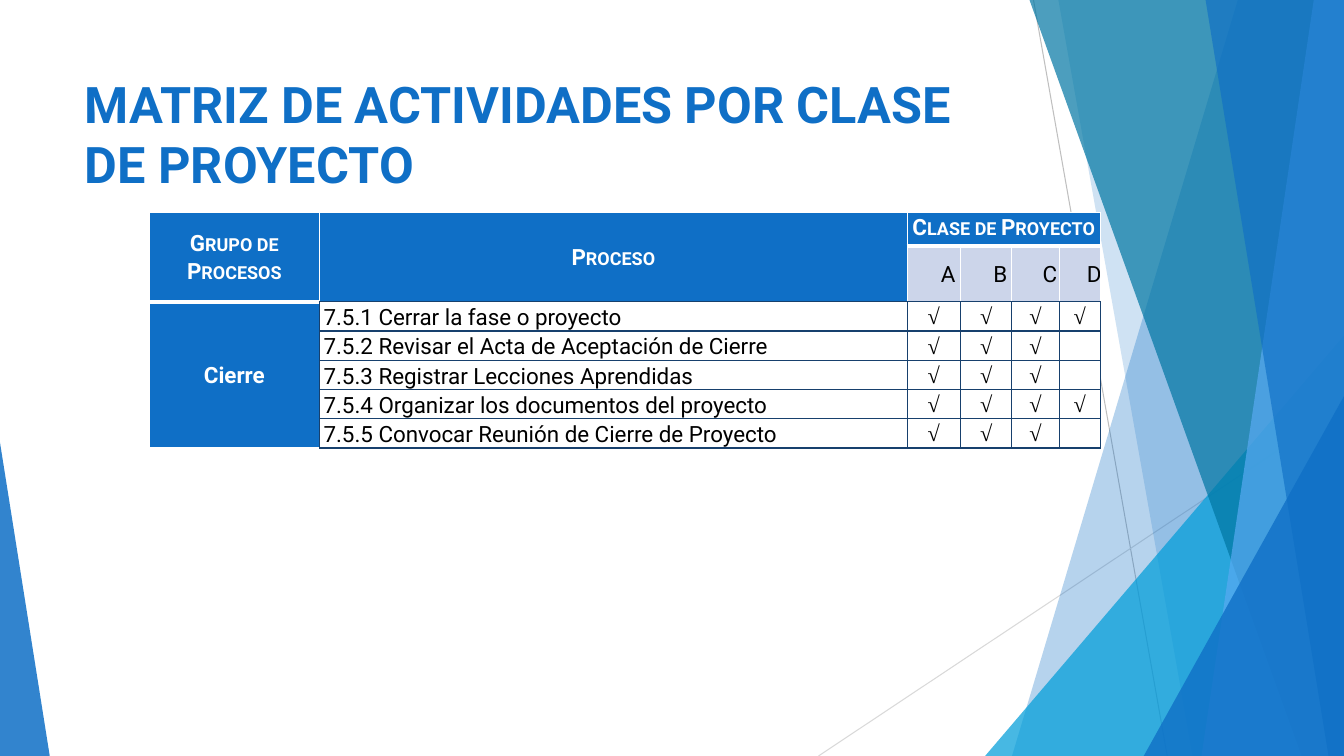
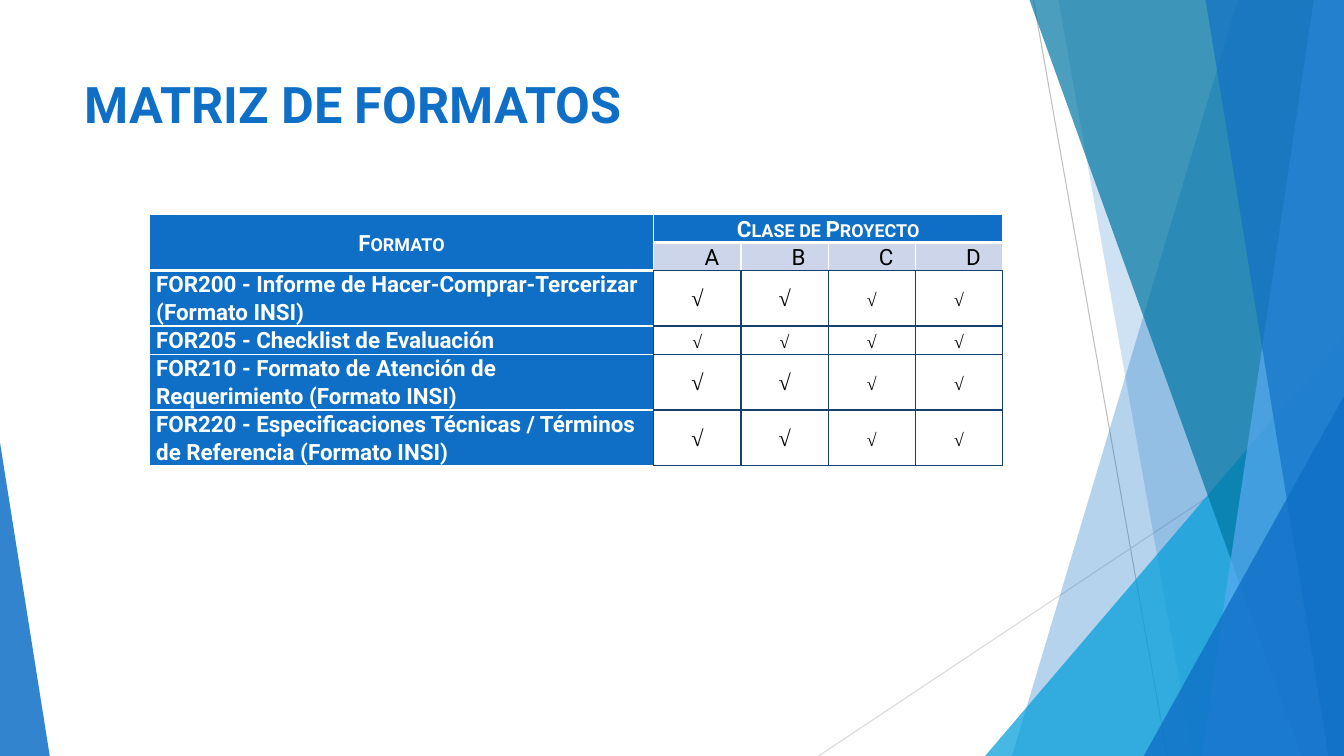
"""Build two slides with matrices of project activities and forms."""
import dataclasses

import lxml.etree
import pptx
import pptx.dml.color
import pptx.enum.shapes
import pptx.enum.text
import pptx.oxml
import pptx.oxml.ns
import pptx.util

RGB = pptx.dml.color.RGBColor
ALIGN = pptx.enum.text.PP_ALIGN
ANCHOR = pptx.enum.text.MSO_ANCHOR
KIND = pptx.enum.shapes.MSO_SHAPE

BLUE = RGB(0x0F, 0x6F, 0xC6)
CYAN = RGB(0x00, 0x9D, 0xD9)
TEAL = RGB(0x00, 0x76, 0xA3)
SKY = RGB(0x59, 0xAA, 0xF2)
NAVY = RGB(0x17, 0x40, 0x6D)
PALE = RGB(0xCC, 0xD5, 0xEA)
GREY = RGB(0xBF, 0xBF, 0xBF)
MIST = RGB(0xD9, 0xD9, 0xD9)
WHITE = RGB(0xFF, 0xFF, 0xFF)
BLACK = RGB(0x00, 0x00, 0x00)

WIDE = pptx.util.Inches(13.33)
HIGH = pptx.util.Inches(7.5)
SANS = "Roboto"
SERIF = "Times New Roman"
CLASSES = "ABCD"


@dataclasses.dataclass(frozen=True)
class Look:
    """Style of a table cell; edges run left, right, top, bottom."""
    fill: RGB = WHITE
    ink: RGB = BLACK
    font: str = SANS
    bold: bool = False
    caps: bool = False
    align: ALIGN = ALIGN.CENTER
    anchor: ANCHOR = ANCHOR.MIDDLE
    shift: float = 0
    edges: tuple = ((NAVY, 1),) * 4


THIN = (WHITE, 1)
DARK = (NAVY, 1)
HEAD = Look(BLUE, WHITE, bold=True, caps=True, edges=(THIN, THIN, THIN, (WHITE, 3)))
OPEN = dataclasses.replace(HEAD, edges=(THIN, THIN, THIN, DARK))
SPAN = dataclasses.replace(HEAD, anchor=ANCHOR.TOP)
CLASS = Look(PALE, caps=True, shift=0.14, edges=OPEN.edges)
GROUP = Look(BLUE, WHITE, bold=True, edges=(THIN, DARK, THIN, THIN))
FORM = dataclasses.replace(GROUP, align=ALIGN.LEFT)
STEP = Look(align=ALIGN.LEFT, anchor=ANCHOR.BOTTOM)
TICK = Look(font=SERIF)
SMALL = dataclasses.replace(TICK, caps=True)


def across(share):
    """Turn a percentage of the slide's width into a length."""
    return pptx.util.Emu(round(WIDE * share / 100))


def down(share):
    """Turn a percentage of the slide's height into a length."""
    return pptx.util.Emu(round(HIGH * share / 100))


def child(parent, tag):
    """Append an empty drawing element."""
    return lxml.etree.SubElement(parent, pptx.oxml.ns.qn(tag))


def tint(shape, color, alpha):
    """Give a shape a see-through fill without outline or shadow."""
    shape.shadow.inherit = False
    shape.line.fill.background()
    shape.fill.solid()
    shape.fill.fore_color.rgb = color
    tone = shape.element.xpath("./p:spPr/a:solidFill/a:srgbClr")[0]
    child(tone, "a:alpha").set("val", str(alpha * 1000))
    return shape


def wedge(shapes, top, foot, color, alpha):
    """Draw a band from a slanted left side to the right edge."""
    pen = shapes.build_freeform(across(top), 0, scale=1.0)
    pen.add_line_segments([(WIDE, 0), (WIDE, HIGH), (across(foot), HIGH)], close=True)
    return tint(pen.convert_to_shape(), color, alpha)


def peak(shapes, left, right, top, tip, color, alpha):
    """Draw a right-angled triangle that stands on the lower edge."""
    shape = shapes.add_shape(KIND.ISOSCELES_TRIANGLE, across(left), down(top),
                             across(right - left), down(100 - top))
    shape.adjustments[0] = tip
    return tint(shape, color, alpha)


def rule(shapes, start, end, color):
    """Draw a thin straight line."""
    line = shapes.add_connector(pptx.enum.shapes.MSO_CONNECTOR.STRAIGHT,
                                across(start[0]), down(start[1]),
                                across(end[0]), down(end[1]))
    line.line.color.rgb = color
    line.line.width = pptx.util.Pt(0.75)
    child(line.element.spPr, "a:effectLst")
    return line


def dress(layout, shapes):
    """Move the shared artwork to the layout and place its title."""
    art = [
        rule(shapes, (76.9, 0), (86.85, 100), GREY),
        rule(shapes, (100, 53.75), (60.9, 100), MIST),
        wedge(shapes, 92.1, 75.3, BLUE, 30),
        wedge(shapes, 78.75, 88.75, BLUE, 20),
        peak(shapes, 73.3, 100, 44.4, 1, CYAN, 72),
        wedge(shapes, 76.6, 96.85, TEAL, 70),
        wedge(shapes, 97.75, 89.4, SKY, 70),
        wedge(shapes, 89.7, 98.85, BLUE, 65),
        peak(shapes, 85.1, 100, 52.4, 1, BLUE, 80),
        peak(shapes, 0, 3.7, 58.55, 0, BLUE, 85),
    ]
    for index, shape in enumerate(art):
        layout.shapes.element.insert(index + 2, shape.element)
    title = layout.placeholders[0]
    title.left, title.top = across(5.55), down(8.95)
    title.width, title.height = across(70.5), down(19.2)


def head(slide, text):
    """Fill and format the title placeholder."""
    frame = slide.shapes.title.text_frame
    frame.text = text
    frame.word_wrap = True
    frame.auto_size = pptx.enum.text.MSO_AUTO_SIZE.NONE
    frame.vertical_anchor = ANCHOR.TOP
    line = frame.paragraphs[0]
    line.alignment = ALIGN.LEFT
    font = line.runs[0].font
    font.name, font.size, font.bold = SANS, pptx.util.Pt(36), True
    font.color.rgb = BLUE


def paint(cell, look, pad):
    """Set fill, margins, anchor and borders of one cell."""
    cell.fill.solid()
    cell.fill.fore_color.rgb = look.fill
    cell.margin_left = cell.margin_right = pptx.util.Inches(pad)
    cell.margin_top = cell.margin_bottom = 0
    cell.vertical_anchor = look.anchor
    props = cell._tc.get_or_add_tcPr()
    for index, (color, width) in enumerate(look.edges):
        edge = child(props, "a:ln" + "LRTB"[index])
        edge.set("w", str(pptx.util.Pt(width)))
        child(child(edge, "a:solidFill"), "a:srgbClr").set("val", str(color))
        props.insert(index, edge)


def put(table, row, col, text, look, pad=0, tall=1, wide=1):
    """Write a cell that may span several rows and columns."""
    for deep in range(row, row + tall):
        for side in range(col, col + wide):
            paint(table.cell(deep, side), look, pad)
    cell = table.cell(row, col)
    if tall * wide > 1:
        cell.merge(table.cell(row + tall - 1, col + wide - 1))
    line = cell.text_frame.paragraphs[0]
    line.text = text
    line.alignment = look.align
    line.line_spacing = 1.07
    if look.shift:
        line._p.get_or_add_pPr().set("marL", str(pptx.util.Inches(look.shift)))
    if not text:
        child(line._p, "a:endParaRPr").set("sz", "1600")
    for run in line.runs:
        font = run.font
        font.name, font.size, font.bold = look.font, pptx.util.Pt(16), look.bold
        font.color.rgb = look.ink
        if look.caps:
            run._r.get_or_add_rPr().set("cap", "small")


def grid(slide, top, cols, rows):
    """Add a plain table with columns and rows in shares of the slide."""
    table = slide.shapes.add_table(len(rows), len(cols), across(11.1), down(top),
                                   across(sum(cols)), down(sum(rows))).table
    table.first_row = table.horz_banding = False
    for column, share in zip(table.columns, cols):
        column.width = across(share)
    for row, share in zip(table.rows, rows):
        row.height = down(share)
    return table


def fill(table, first, pad, items, look):
    """Write the class headings, the item names and their ticks."""
    put(table, 0, first, "Clase de Proyecto", SPAN, wide=len(CLASSES))
    pads = (pad, pad, 0, 0)
    for index, name in enumerate(CLASSES):
        put(table, 1, first + index, name, CLASS, pads[index])
    for row, (text, count, big) in enumerate(items, 2):
        put(table, row, first - 1, text, look, pad)
        for index in range(len(CLASSES)):
            mark = "√" if index < count else ""
            put(table, row, first + index, mark,
                TICK if index < big else SMALL, pads[index])


def tasks(slide):
    """Build the matrix of activities."""
    head(slide, "MATRIZ DE ACTIVIDADES POR CLASE DE PROYECTO")
    items = [
        ("7.5.1 Cerrar la fase o proyecto ", 4, 4),
        ("7.5.2 Revisar el Acta de Aceptación de Cierre", 3, 4),
        ("7.5.3 Registrar Lecciones Aprendidas", 3, 4),
        ("7.5.4 Organizar los documentos del proyecto ", 4, 4),
        ("7.5.5 Convocar Reunión de Cierre de Proyecto", 3, 4),
    ]
    table = grid(slide, 28.15, [12.68, 43.72, 3.97, 3.82, 3.52, 3.07],
                 [4.4] + [3.87] * 6)
    put(table, 0, 0, "Grupo de Procesos", HEAD, 0.04, tall=2)
    put(table, 0, 1, "Proceso", OPEN, 0.04, tall=2)
    put(table, 2, 0, "Cierre", GROUP, 0.04, tall=len(items))
    fill(table, 2, 0.04, items, STEP)


def forms(slide):
    """Build the matrix of forms."""
    head(slide, "MATRIZ DE FORMATOS")
    items = [
        ("FOR200 - Informe de Hacer-Comprar-Tercerizar (Formato INSI)", 4, 2),
        ("FOR205 - Checklist de Evaluación", 4, 0),
        ("FOR210 - Formato de Atención de Requerimiento (Formato INSI)", 4, 2),
        ("FOR220 - Especificaciones Técnicas / Términos de Referencia (Formato INSI)", 4, 2),
    ]
    table = grid(slide, 28.4, [37.55] + [6.49] * 4,
                 [2.8, 2.8, 5.87, 3.73, 5.87, 5.87])
    put(table, 0, 0, "Formato", HEAD, 0.07, tall=2)
    fill(table, 1, 0.07, items, FORM)


def main():
    """Build and save the deck."""
    deck = pptx.Presentation()
    deck.slide_width, deck.slide_height = WIDE, HIGH
    layout = deck.slide_layouts[5]
    first, second = [deck.slides.add_slide(layout) for _ in range(2)]
    dress(layout, first.shapes)
    tasks(first)
    forms(second)
    deck.save("out.pptx")


if __name__ == "__main__":
    main()
